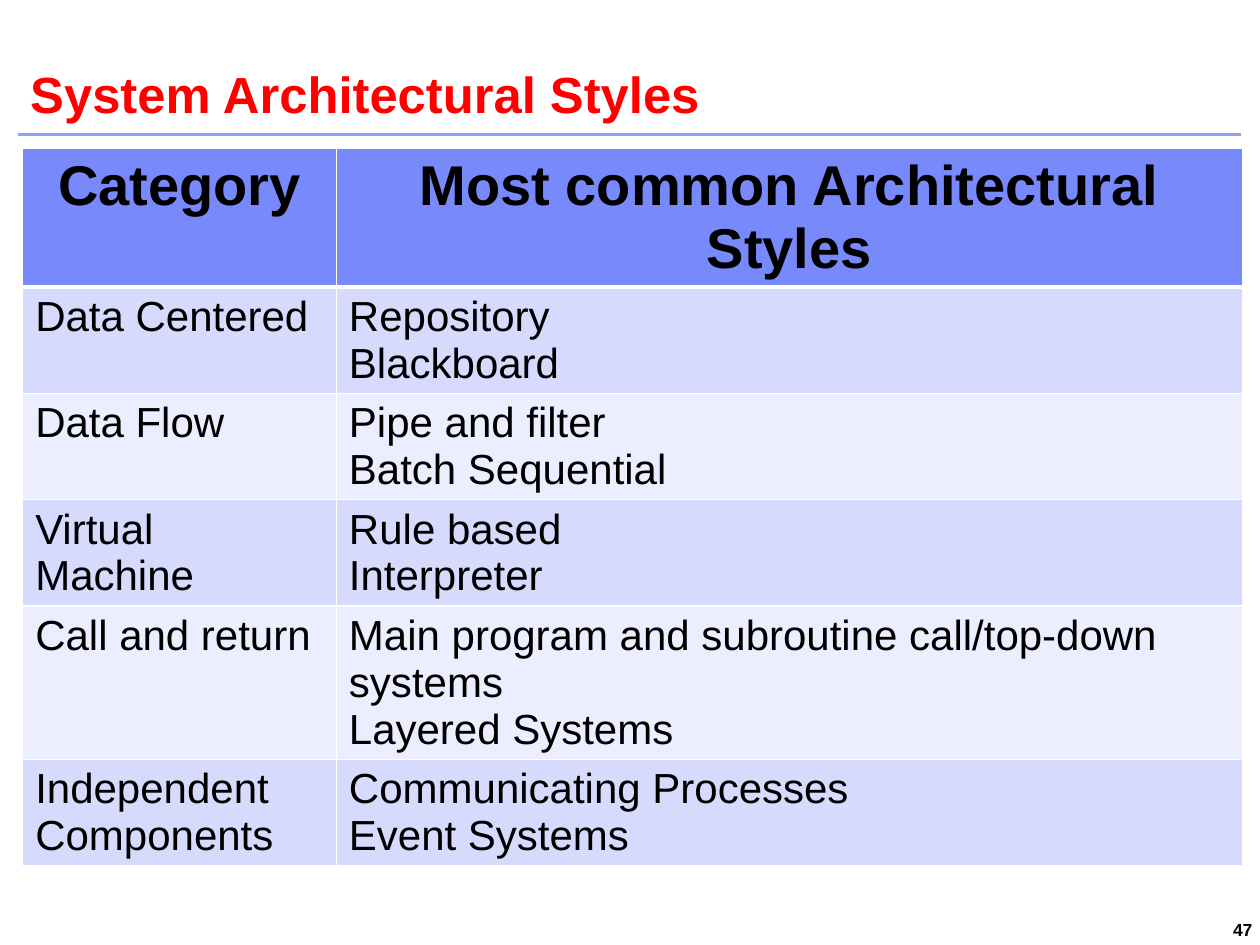
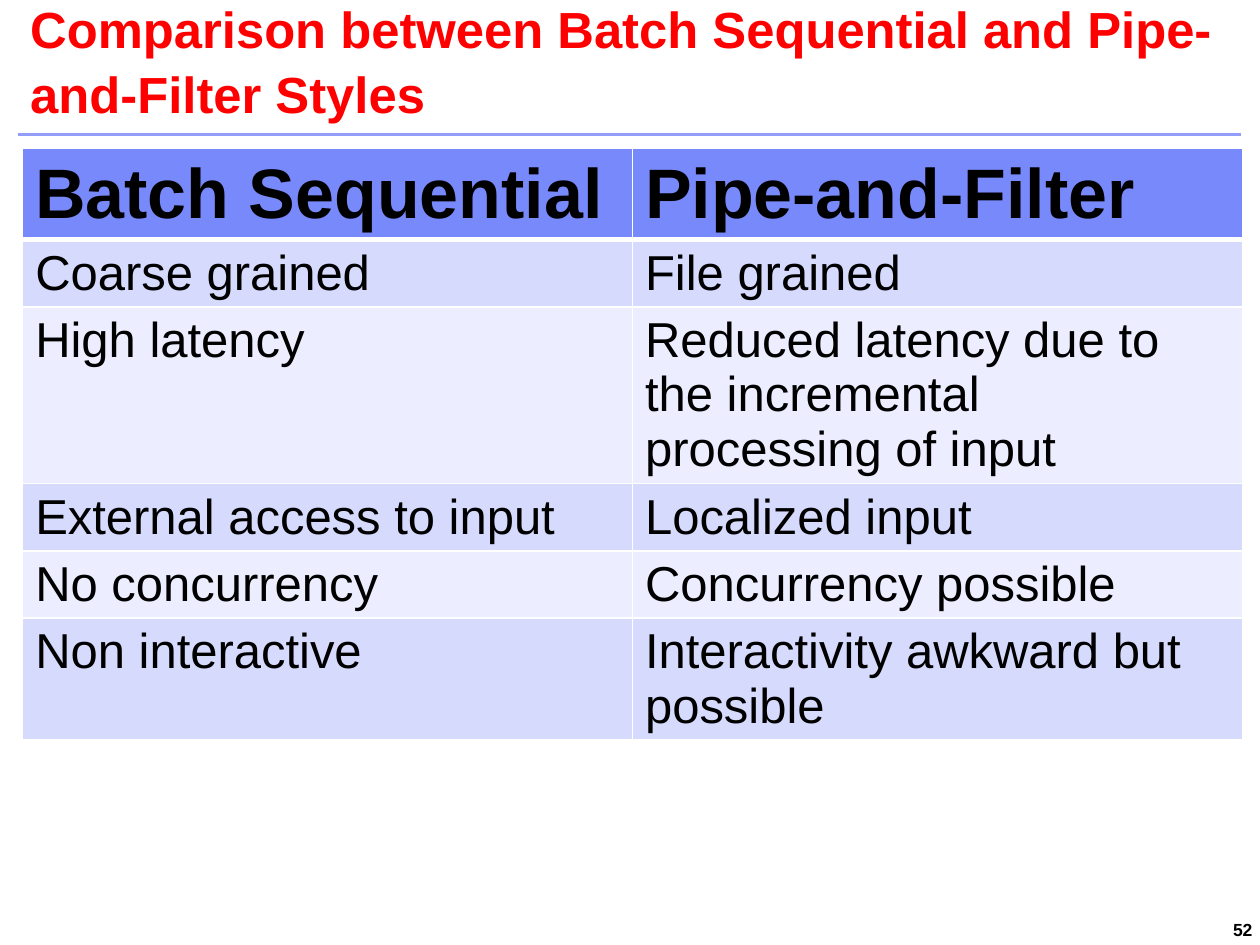
from dataclasses import dataclass

from lxml import etree
from pptx import Presentation
from pptx.dml.color import RGBColor as Color
from pptx.enum.shapes import MSO_CONNECTOR as Connector
from pptx.enum.text import MSO_ANCHOR as Anchor, MSO_AUTO_SIZE as AutoSize, PP_ALIGN as Align
from pptx.oxml.ns import qn
from pptx.util import Inches, Pt


@dataclass(frozen=True)
class Theme:
    font: str = "Arial"
    title_color: str = "FF0000"
    rule_color: str = "939DFC"
    text_color: str = "000000"
    border_color: str = "FFFFFF"
    header_fill: str = "7889FB"
    band_fills: tuple = ("D6DAFD", "ECEDFE")
    title_size: int = 29
    number_size: int = 10
    line_height: float = 1.117


theme = Theme()

# Each table row is (number of text lines, cell texts)
slides = [
    dict(
        title="System Architectural Styles", number="47",
        column_widths=(24.9, 71.9), header_size=32, body_size=24, header_align=Align.CENTER,
        rows=[
            (2, ("Category", "Most common Architectural Styles")),
            (2, ("Data Centered", "Repository\nBlackboard")),
            (2, ("Data Flow", "Pipe and filter\nBatch Sequential")),
            (2, ("Virtual Machine", "Rule based\nInterpreter")),
            (3, ("Call and return",
                 "Main program and subroutine call/top-down systems\nLayered Systems")),
            (2, ("Independent Components", "Communicating Processes\nEvent Systems")),
        ],
    ),
    dict(
        title="Comparison between Batch Sequential and Pipe-and-Filter Styles", number="52",
        column_widths=(48.4, 48.4), header_size=40, body_size=28, header_align=Align.LEFT,
        rows=[
            (1, ("Batch Sequential", "Pipe-and-Filter")),
            (1, ("Coarse grained", "File grained")),
            (3, ("High latency", "Reduced latency due to the incremental processing of input")),
            (1, ("External access to input", "Localized input")),
            (1, ("No concurrency", "Concurrency possible")),
            (2, ("Non interactive", "Interactivity awkward but possible")),
        ],
    ),
]


def format_text(text_frame, size, color, bold, align):
    for paragraph in text_frame.paragraphs:
        paragraph.alignment = align
        for run in paragraph.runs:
            run.font.name = theme.font
            run.font.size = Pt(size)
            run.font.bold = bold
            run.font.color.rgb = Color.from_string(color)


def add_borders(cell, widths):
    properties = cell._tc.get_or_add_tcPr()
    for side, width in widths.items():
        border = etree.SubElement(properties, qn(f"a:ln{side}"), w=str(Pt(width)))
        fill = etree.SubElement(border, qn("a:solidFill"))
        etree.SubElement(fill, qn("a:srgbClr"), val=theme.border_color)


presentation = Presentation()
presentation.slide_width = Inches(10)
presentation.slide_height = Inches(7.5)

# Grid of 100 columns and 75 rows
column = presentation.slide_width / 100
row = presentation.slide_height / 75
left = int(1.8 * column)

for content in slides:
    slide = presentation.slides.add_slide(presentation.slide_layouts[5])

    # Rule under the title
    rule_y = int(10.7 * row)
    rule = slide.shapes.add_connector(
        Connector.STRAIGHT, int(1.4 * column), rule_y, int(98.5 * column), rule_y)
    rule.line.color.rgb = Color.from_string(theme.rule_color)
    rule.line.width = Pt(1.75)
    etree.SubElement(rule._element.spPr, qn("a:effectLst"))

    # Title
    title = slide.shapes.title
    title.left, title.top = left, int(0.2 * row)
    title.width, title.height = int(96.7 * column), int(9.6 * row)
    frame = title.text_frame
    frame.text = content["title"]
    frame.word_wrap = True
    frame.auto_size = AutoSize.NONE
    frame.vertical_anchor = Anchor.BOTTOM
    frame.margin_left, frame.margin_top = Inches(0.06), Inches(0.02)
    frame.margin_right = frame.margin_bottom = 0
    frame.paragraphs[0].line_spacing = 1.07
    format_text(frame, theme.title_size, theme.title_color, True, Align.LEFT)

    # Table
    rows, widths = content["rows"], content["column_widths"]
    table = slide.shapes.add_table(
        len(rows), len(widths), left, int(11.8 * row),
        int(sum(widths) * column), int(50 * row)).table
    for table_column, width in zip(table.columns, widths):
        table_column.width = int(width * column)
    for index, (lines, texts) in enumerate(rows):
        is_header = index == 0
        size = content["header_size"] if is_header else content["body_size"]
        fill = theme.header_fill if is_header else theme.band_fills[(index - 1) % 2]
        align = content["header_align"] if is_header else Align.LEFT
        table.rows[index].height = Pt(lines * size * theme.line_height) + Inches(0.1)
        for cell, text in zip(table.rows[index].cells, texts):
            cell.text_frame.text = text
            format_text(cell.text_frame, size, theme.text_color, is_header, align)
            add_borders(cell, {"L": 1, "R": 1, "T": 3 if index == 1 else 1,
                               "B": 3 if is_header else 1})
            cell.fill.solid()
            cell.fill.fore_color.rgb = Color.from_string(fill)

    # Page number
    number = slide.shapes.add_textbox(
        int(91 * column), int(72.9 * row), int(9 * column), int(1.8 * row))
    frame = number.text_frame
    frame.text = content["number"]
    frame.word_wrap = True
    frame.margin_left = frame.margin_top = 0
    frame.margin_right = frame.margin_bottom = Inches(0.06)
    format_text(frame, theme.number_size, theme.text_color, True, Align.RIGHT)

presentation.save("out.pptx")
